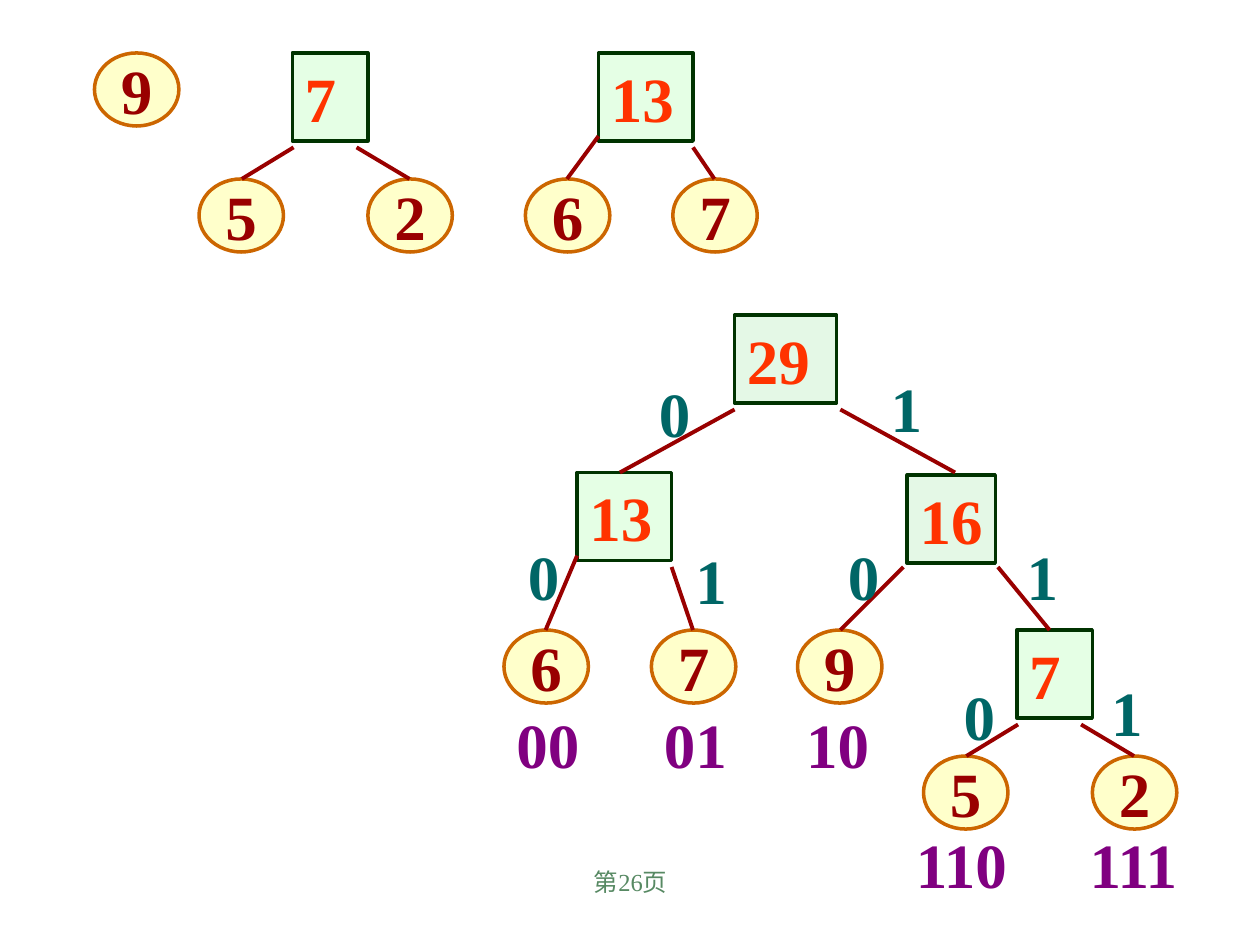
from lxml import etree
from pptx import Presentation
from pptx.dml.color import RGBColor
from pptx.enum.shapes import MSO_CONNECTOR, MSO_SHAPE
from pptx.enum.text import MSO_ANCHOR, PP_ALIGN
from pptx.oxml.ns import qn
from pptx.util import Inches, Pt

OVAL, RECT = MSO_SHAPE.OVAL, MSO_SHAPE.RECTANGLE
LINE = MSO_CONNECTOR.STRAIGHT
TOP, MIDDLE = MSO_ANCHOR.TOP, MSO_ANCHOR.MIDDLE
LEFT, CENTER = PP_ALIGN.LEFT, PP_ALIGN.CENTER

FONT = "Times New Roman"
COLORS = {
    "leaf": "FFFF99", "rim": "CC6600", "weight": "990000",
    "node": "CCFFCC", "pale": "CAF2CE", "frame": "003300", "sum": "FF3300",
    "edge": "990000", "bit": "006666", "code": "800080", "page": "578963",
}
LEAF_W, LEAF_H = 0.67, 0.58
NODE_H = 0.7


def color(name):
    return RGBColor.from_string(COLORS[name])


def write(shape, text, tint, align=LEFT, size=36, bold=True):
    frame = shape.text_frame
    frame.text = text
    para = frame.paragraphs[0]
    para.alignment = align
    font = para.runs[0].font
    font.name, font.size, font.bold = FONT, Pt(size), bold
    font.color.rgb = color(tint)
    return frame


def add_shape(slide, kind, box, fill, line):
    """Add a half-transparent outlined shape."""
    shape = slide.shapes.add_shape(kind, *map(Inches, box))
    shape.shadow.inherit = False
    shape.fill.solid()
    shape.fill.fore_color.rgb = color(fill)
    tone = shape.fill._xPr.find(qn("a:solidFill"))[0]
    etree.SubElement(tone, qn("a:alpha")).set("val", "50000")
    shape.line.color.rgb = color(line)
    shape.line.width = Pt(2)
    return shape


def add_leaf(slide, x, y, text):
    shape = add_shape(slide, OVAL, (x, y, LEAF_W, LEAF_H), "leaf", "rim")
    frame = write(shape, text, "weight", CENTER)
    frame.word_wrap = False
    frame.vertical_anchor = MIDDLE


def add_node(slide, x, y, width, text, fill="node"):
    shape = add_shape(slide, RECT, (x, y, width, NODE_H), fill, "frame")
    frame = write(shape, text, "sum")
    frame.word_wrap = True
    frame.margin_right = 0
    frame.vertical_anchor = TOP


def add_edge(slide, x, y, *ends):
    """Draw a line between two points given relative to x, y."""
    x1, y1, x2, y2 = ends
    edge = slide.shapes.add_connector(
        LINE, Inches(x + x1), Inches(y + y1), Inches(x + x2), Inches(y + y2))
    edge.line.color.rgb = color("edge")
    edge.line.width = Pt(2.25)
    etree.SubElement(edge._element.spPr, qn("a:effectLst"))


def add_label(slide, x, y, text, tint):
    width = 0.2 + 0.25 * len(text)
    box = slide.shapes.add_textbox(*map(Inches, (x, y, width, NODE_H)))
    write(box, text, tint).word_wrap = False


def add_seven(slide, x, y):
    """Draw the tree 7 = 5 + 2 from its top left corner."""
    add_leaf(slide, x, y + 1, "5")
    add_leaf(slide, x + 1.34, y + 1, "2")
    add_edge(slide, x, y, 0.75, 0.75, 0.34, 1)
    add_edge(slide, x, y, 1.25, 0.75, 1.67, 1)
    add_node(slide, x + 0.74, y, 0.6, "7")


def add_thirteen(slide, x, y, drop):
    """Draw the tree 13 = 6 + 7, its leaves a given drop below the root."""
    add_leaf(slide, x, y + drop, "6")
    add_leaf(slide, x + 1.17, y + drop, "7")
    add_node(slide, x + 0.58, y, 0.75, "13")
    add_edge(slide, x, y, 0.58, 0.66, 0.33, drop)
    add_edge(slide, x, y, 1.33, 0.75, 1.5, drop)


def add_code_tree(slide, x, y):
    """Draw the whole tree with its edge bits and leaf codes."""
    add_leaf(slide, x + 2.33, y + 2.5, "9")
    add_seven(slide, x + 3.33, y + 2.5)
    add_node(slide, x + 3.2, y + 1.27, 0.7, "16", "pale")
    add_edge(slide, x, y, 3.17, 2, 2.67, 2.5)
    add_edge(slide, x, y, 3.92, 2, 4.33, 2.5)
    add_thirteen(slide, x, y + 1.25, 1.25)
    add_node(slide, x + 1.83, y, 0.81, "29", "pale")
    add_edge(slide, x, y, 1.83, 0.75, 0.92, 1.25)
    add_edge(slide, x, y, 2.67, 0.75, 3.58, 1.25)

    bits = {
        "0": [(1.13, 0.42), (0.09, 1.72), (2.63, 1.72), (3.55, 2.83)],
        "1": [(2.97, 0.38), (1.42, 1.75), (4.05, 1.72), (4.72, 2.8)],
    }
    for bit, spots in bits.items():
        for dx, dy in spots:
            add_label(slide, x + dx, y + dy, bit, "bit")

    codes = [("00", 0, 3.05), ("01", 1.17, 3.05), ("10", 2.3, 3.05),
             ("110", 3.17, 4), ("111", 4.55, 4)]
    for code, dx, dy in codes:
        add_label(slide, x + dx, y + dy, code, "code")


def add_footer(slide, x, y):
    box = slide.shapes.add_textbox(*map(Inches, (x, y, 3.17, 0.5)))
    write(box, "第26页", "page", CENTER, 14, False).word_wrap = True


def main():
    deck = Presentation()
    deck.slide_width, deck.slide_height = Inches(10), Inches(7.5)
    slide = deck.slides.add_slide(deck.slide_layouts[6])
    add_footer(slide, 3.42, 6.83)
    add_thirteen(slide, 4.17, 0.42, 1)
    add_leaf(slide, 0.75, 0.42, "9")
    add_seven(slide, 1.58, 0.42)
    add_code_tree(slide, 4, 2.5)
    deck.save("out.pptx")


if __name__ == "__main__":
    main()
